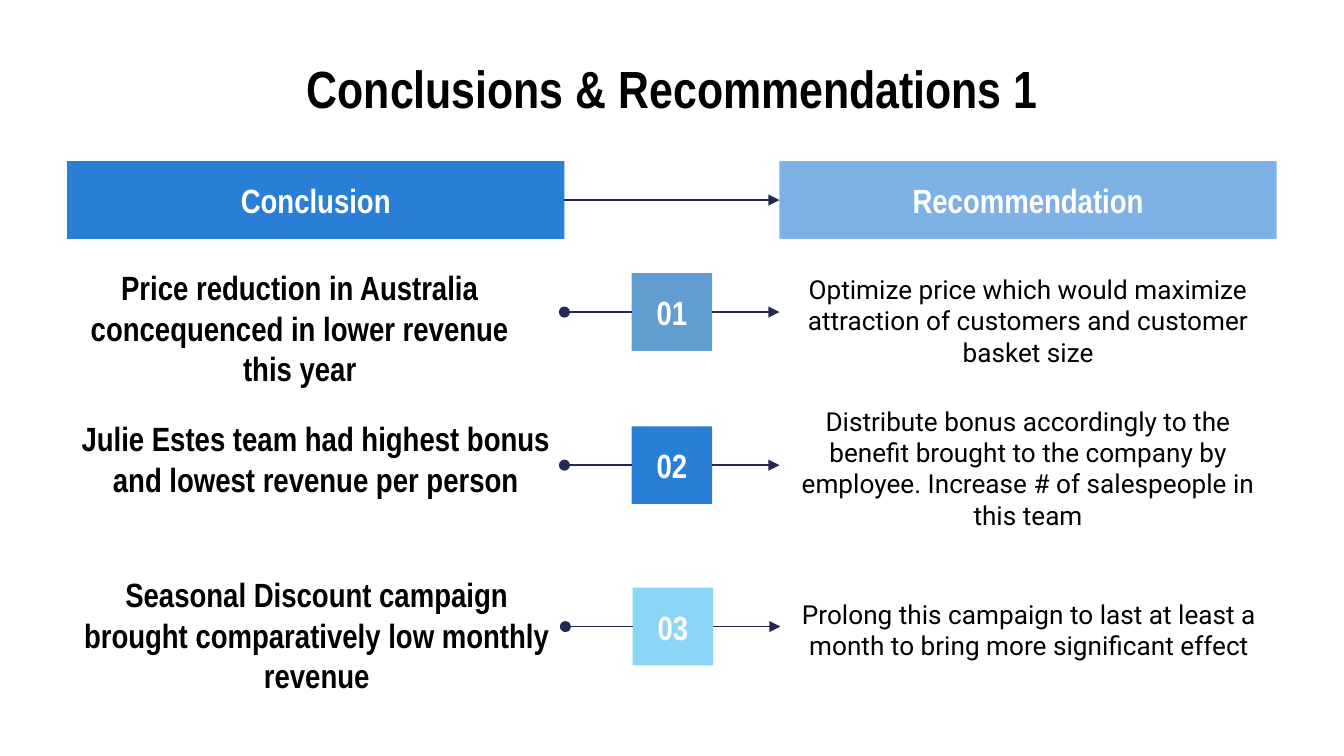
from lxml import etree
from pptx import Presentation
from pptx.dml.color import RGBColor
from pptx.enum.shapes import MSO_CONNECTOR, MSO_SHAPE
from pptx.enum.text import MSO_ANCHOR, PP_ALIGN
from pptx.oxml.ns import qn
from pptx.util import Pt

STRAIGHT = MSO_CONNECTOR.STRAIGHT
RECTANGLE = MSO_SHAPE.RECTANGLE
MIDDLE = MSO_ANCHOR.MIDDLE
CENTER = PP_ALIGN.CENTER

LEFT, RIGHT, COLUMN_WIDTH = 36, 417.6, 266.4
BADGE_LEFT, BADGE_WIDTH, BAR_HEIGHT = 338.4, 43.2, 41.6
HEADER_TOP, TEXT_HEIGHT = 86.4, 21.6

HEADING = {"name": "Arial Narrow", "bold": True}
BODY = {"name": "Roboto", "bold": False, "size": Pt(14)}

HEADERS = [(LEFT, "Conclusion", "297FD5"), (RIGHT, "Recommendation", "7EB2E6")]
ROWS = [
    {"number": "01", "fill": "629DD1", "top": 146.4, "shift": 0,
     "conclusion": ("Price reduction in Australia concequenced in lower revenue this year",
                    27.4, 164.8),
     "recommendation": ("Optimize price which would maximize attraction of customers "
                        "and customer basket size", 160.8)},
    {"number": "02", "fill": "297FD5", "top": 228.4, "shift": 0,
     "conclusion": ("Julie Estes team had highest bonus and lowest revenue per person",
                    36, 234.9),
     "recommendation": ("Distribute bonus accordingly to the benefit brought to the company "
                        "by employee. Increase # of salespeople in this team", 239.8)},
    {"number": "03", "fill": "8BD6F6", "top": 314.9, "shift": 0.5,
     "conclusion": ("Seasonal Discount campaign brought comparatively low monthly revenue",
                    36.5, 329.3),
     "recommendation": ("Prolong this campaign to last at least a month to bring more "
                        "significant effect", 326.5)},
]


def color(value):
    """Turn a hex string into a colour."""
    return RGBColor.from_string(value)


def apply_format(target, values):
    """Set each attribute named in the values."""
    for name, value in values.items():
        setattr(target, name, value)


def write(box, text, font, text_color):
    """Put one centred paragraph into a box."""
    frame = box.text_frame
    inset = Pt(7.2)
    apply_format(frame, {"word_wrap": True, "vertical_anchor": MIDDLE,
                         "margin_left": inset, "margin_right": inset,
                         "margin_top": inset, "margin_bottom": inset})
    para = frame.paragraphs[0]
    para.alignment = CENTER
    span = para.add_run()
    span.text = text
    apply_format(span.font, font)
    span.font.color.rgb = color(text_color)


def add_title(page, text):
    """Place and fill the title placeholder."""
    title = page.shapes.title
    apply_format(title, {"left": Pt(36), "top": Pt(32.4),
                         "width": Pt(648), "height": Pt(29.5)})
    write(title, text, {**HEADING, "size": Pt(28)}, "000000")


def add_bar(page, left, top, width, text, fill):
    """Draw a filled rectangle with a white label."""
    bar = page.shapes.add_shape(RECTANGLE, Pt(left), Pt(top), Pt(width), Pt(BAR_HEIGHT))
    bar.shadow.inherit = False
    bar.fill.solid()
    bar.fill.fore_color.rgb = color(fill)
    bar.line.fill.background()
    write(bar, text, {**HEADING, "size": Pt(18)}, "FFFFFF")


def add_text(page, left, top, text, font):
    """Add a column-wide text box."""
    box = page.shapes.add_textbox(Pt(left), Pt(top), Pt(COLUMN_WIDTH), Pt(TEXT_HEIGHT))
    write(box, text, font, "000000")


def add_link(page, start, end, level, tag, kind):
    """Draw a level line with one decorated end."""
    link = page.shapes.add_connector(STRAIGHT, Pt(start), Pt(level), Pt(end), Pt(level))
    link.line.color.rgb = color("242852")
    link.line.width = Pt(0.75)
    outline = link.line._get_or_add_ln()
    etree.SubElement(outline, qn(tag), type=kind, w="med", len="med")
    etree.SubElement(link._element.spPr, qn("a:effectLst"))


def add_row(page, row):
    """Draw a conclusion, its numbered badge and its recommendation."""
    shift = row["shift"]
    badge = BADGE_LEFT + shift
    level = row["top"] + BAR_HEIGHT / 2
    conclusion, left, top = row["conclusion"]
    recommendation, advice_top = row["recommendation"]
    add_bar(page, badge, row["top"], BADGE_WIDTH, row["number"], row["fill"])
    add_text(page, left, top, conclusion, {**HEADING, "size": Pt(18)})
    add_text(page, RIGHT + shift, advice_top, recommendation, BODY)
    add_link(page, LEFT + COLUMN_WIDTH + shift, badge, level, "a:headEnd", "oval")
    add_link(page, badge + BADGE_WIDTH, RIGHT + shift, level, "a:tailEnd", "triangle")


def main():
    """Build and save the slide."""
    deck = Presentation()
    apply_format(deck, {"slide_width": Pt(720), "slide_height": Pt(405)})
    page = deck.slides.add_slide(deck.slide_layouts[5])
    add_title(page, "Conclusions & Recommendations 1")
    for left, text, fill in HEADERS:
        add_bar(page, left, HEADER_TOP, COLUMN_WIDTH, text, fill)
    add_link(page, LEFT + COLUMN_WIDTH, RIGHT, HEADER_TOP + BAR_HEIGHT / 2,
             "a:tailEnd", "triangle")
    for row in ROWS:
        add_row(page, row)
    deck.save("out.pptx")


main()
